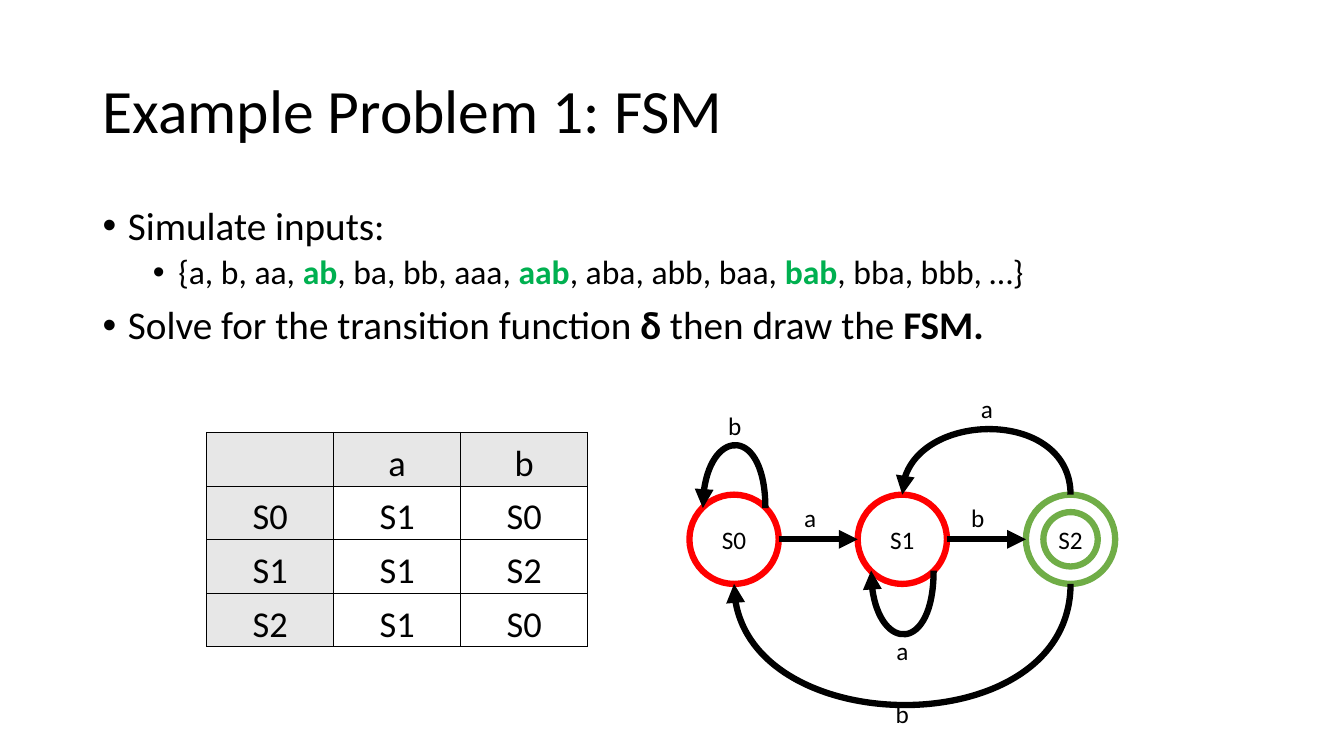
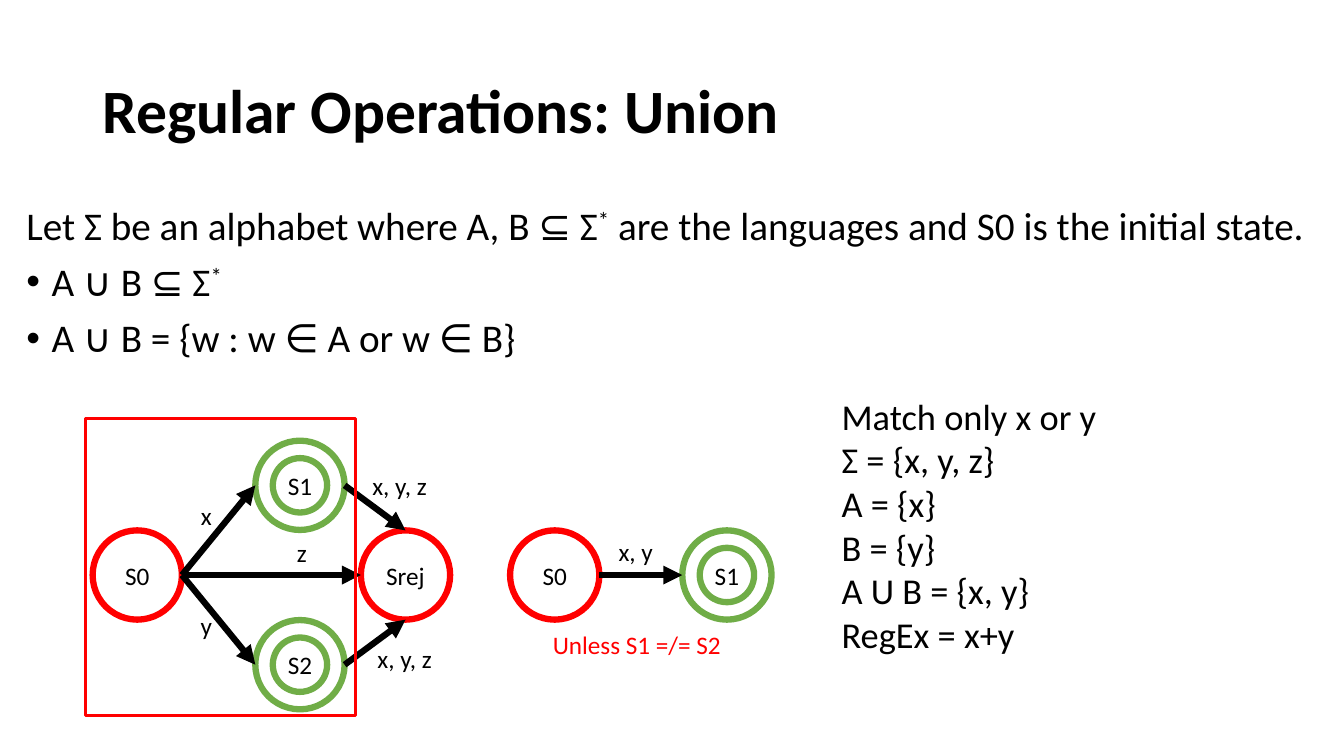
from pptx import Presentation
from pptx.dml.color import RGBColor
from pptx.enum.shapes import MSO_CONNECTOR, MSO_SHAPE
from pptx.enum.text import MSO_ANCHOR, MSO_AUTO_SIZE, PP_ALIGN
from pptx.oxml.ns import qn
from pptx.util import Cm, Pt
from lxml import etree

BLACK = RGBColor(0x00, 0x00, 0x00)
WHITE = RGBColor(0xFF, 0xFF, 0xFF)
RED = RGBColor(0xFF, 0x00, 0x00)
GREEN = RGBColor(0x70, 0xAD, 0x47)
ACCEPTED = RGBColor(0x00, 0xB0, 0x50)
HEADER = RGBColor(0xE7, 0xE7, 0xE7)

OVAL, RECT = MSO_SHAPE.OVAL, MSO_SHAPE.RECTANGLE
STRAIGHT = MSO_CONNECTOR.STRAIGHT
LEFT, CENTER = PP_ALIGN.LEFT, PP_ALIGN.CENTER
TOP, MIDDLE, BOTTOM = MSO_ANCHOR.TOP, MSO_ANCHOR.MIDDLE, MSO_ANCHOR.BOTTOM
NO_AUTOFIT = MSO_AUTO_SIZE.NONE

FONT = "Calibri"
STATE_SIZE, INNER_SIZE = 2.25, 1.37
STROKE = 4.5


def side(sp, dx, dy):
    """Return the point dx, dy radii away from the centre of a state."""
    radius = sp.width / 2
    return round(sp.left + radius * (1 + dx)), round(sp.top + radius * (1 + dy))


class Deck:
    """Hold the shared style and the slide being drawn."""

    def __init__(self):
        self.prs = Presentation()
        self.prs.slide_width, self.prs.slide_height = Cm(33.87), Cm(19.05)
        self.s = None

    def style(self, p, size, color=BLACK, bold=False):
        """Format every run of a paragraph."""
        for r in p.runs:
            r.font.name, r.font.size = FONT, Pt(size)
            r.font.bold, r.font.color.rgb = bold, color

    def place(self, sp, left, top, width, height):
        """Move a placeholder."""
        sp.left, sp.top = Cm(left), Cm(top)
        sp.width, sp.height = Cm(width), Cm(height)

    def slide(self, title, bold=False):
        """Start a slide with its title."""
        self.s = self.prs.slides.add_slide(self.prs.slide_layouts[1])
        sp = self.s.shapes.title
        self.place(sp, 2.33, 1.01, 29.21, 3.68)
        tf = sp.text_frame
        tf.text = title
        tf.auto_size, tf.vertical_anchor = NO_AUTOFIT, MIDDLE
        p = tf.paragraphs[0]
        p.alignment, p.line_spacing = LEFT, 0.9
        self.style(p, 44, bold=bold)

    def body(self, left, width, items):
        """Fill the body with (level, bulleted, runs) items."""
        sp = self.s.placeholders[1]
        self.place(sp, left, 5.07, width, 12)
        tf = sp.text_frame
        tf.auto_size = NO_AUTOFIT
        for i, (level, bulleted, runs) in enumerate(items):
            p = tf.add_paragraph() if i else tf.paragraphs[0]
            p.level = level
            pPr = p._p.get_or_add_pPr()
            pPr.set("marL", str(Cm(0.64 + 1.27 * level) if bulleted else 0))
            pPr.set("indent", str(-Cm(0.64) if bulleted else 0))
            if bulleted:
                etree.SubElement(pPr, qn("a:buChar")).set("char", "•")
            else:
                etree.SubElement(pPr, qn("a:buNone"))
            p.line_spacing = 0.9
            p.space_before = Pt((5 if level else 10) if i else 0)
            for text, kind in runs:
                r = p.add_run()
                r.text = text
            self.style(p, 24 if level else 28)
            for r, (text, kind) in zip(p.runs, runs):
                r.font.bold = kind in ("bold", "accepted")
                if kind == "accepted":
                    r.font.color.rgb = ACCEPTED
                elif kind == "super":
                    r._r.get_or_add_rPr().set("baseline", "30000")

    def outline(self, shape, left, top, width, height, color, weight=STROKE):
        """Add an unfilled, outlined shape."""
        sp = self.s.shapes.add_shape(shape, Cm(left), Cm(top), Cm(width), Cm(height))
        sp.shadow.inherit = False
        sp.fill.background()
        sp.line.color.rgb, sp.line.width = color, Pt(weight)
        return sp

    def circle(self, cx, cy, size, color):
        """Add a ring around a centre."""
        return self.outline(OVAL, cx - size / 2, cy - size / 2, size, size, color)

    def state(self, name, cx, cy, accepting=False):
        """Add a state, with a second ring if it accepts."""
        color = GREEN if accepting else RED
        sp = self.circle(cx, cy, STATE_SIZE, color)
        sp.fill.solid()
        sp.fill.fore_color.rgb = WHITE
        tf = sp.text_frame
        tf.text = name
        tf.word_wrap, tf.vertical_anchor = False, MIDDLE
        tf.paragraphs[0].alignment = CENTER
        self.style(tf.paragraphs[0], 18)
        if accepting:
            self.circle(cx, cy, INNER_SIZE, color)
        return sp

    def arrowhead(self, sp):
        """Give a line its stroke and arrowhead."""
        sp.line.color.rgb, sp.line.width = BLACK, Pt(STROKE)
        spPr = sp.element.spPr
        etree.SubElement(spPr.find(qn("a:ln")), qn("a:tailEnd")).set("type", "triangle")
        etree.SubElement(spPr, qn("a:effectLst"))

    def arrow(self, start, end):
        """Add a straight arrow between two points."""
        self.arrowhead(self.s.shapes.add_connector(STRAIGHT, *start, *end))

    def arc(self, start, end, rise):
        """Add a curved arrow that rises (or, if negative, dips) by a height."""
        control = start[1] - Cm(rise * 4 / 3)
        builder = self.s.shapes.build_freeform(*start, scale=1.0)
        builder.add_line_segments(
            [(start[0], control), (end[0], control), end], close=False)
        sp = builder.convert_to_shape()
        sp.fill.background()
        track = sp.element.spPr.find(".//" + qn("a:path"))
        bezier = etree.SubElement(track, qn("a:cubicBezTo"))
        for segment in track.findall(qn("a:lnTo")):
            bezier.append(segment[0])
            track.remove(segment)
        self.arrowhead(sp)

    def label(self, text, cx, cy, color=BLACK):
        """Add a short text centred on a point."""
        width, height = 5, 1
        sp = self.s.shapes.add_textbox(
            Cm(cx - width / 2), Cm(cy - height / 2), Cm(width), Cm(height))
        tf = sp.text_frame
        tf.text = text
        tf.word_wrap, tf.vertical_anchor = True, MIDDLE
        tf.paragraphs[0].alignment = CENTER
        self.style(tf.paragraphs[0], 18, color)

    def notes(self, left, top, width, height, text):
        """Add a block of lines."""
        sp = self.s.shapes.add_textbox(Cm(left), Cm(top), Cm(width), Cm(height))
        tf = sp.text_frame
        tf.text = text
        tf.word_wrap, tf.vertical_anchor = True, TOP
        for p in tf.paragraphs:
            self.style(p, 26)

    def table(self, left, top, col_width, row_height, rows):
        """Add a bordered table with a shaded first row and column."""
        n_rows, n_cols = len(rows), len(rows[0])
        table = self.s.shapes.add_table(
            n_rows, n_cols, Cm(left), Cm(top),
            Cm(col_width * n_cols), Cm(row_height * n_rows)).table
        table.first_row = table.horz_banding = False
        for column in table.columns:
            column.width = Cm(col_width)
        for i, row in enumerate(rows):
            table.rows[i].height = Cm(row_height)
            for j, text in enumerate(row):
                self.cell(table.cell(i, j), text, i == 0 or j == 0)

    def cell(self, cell, text, shaded):
        """Fill and border one table cell."""
        cell.text = text
        cell.vertical_anchor = BOTTOM
        cell.margin_left = cell.margin_right = cell.margin_top = Cm(0.03)
        cell.margin_bottom = 0
        p = cell.text_frame.paragraphs[0]
        p.alignment = CENTER
        self.style(p, 26)
        tcPr = cell._tc.get_or_add_tcPr()
        for edge in ("a:lnL", "a:lnR", "a:lnT", "a:lnB"):
            ln = etree.SubElement(tcPr, qn(edge), w=str(Pt(1)))
            fill = etree.SubElement(ln, qn("a:solidFill"))
            etree.SubElement(fill, qn("a:srgbClr"), val=str(BLACK))
        if shaded:
            cell.fill.solid()
            cell.fill.fore_color.rgb = HEADER
        else:
            cell.fill.background()


def fsm_slide(deck):
    """Draw the state machine example."""
    deck.slide("Example Problem 1: FSM")
    deck.body(2.33, 29.21, [
        (0, True, [("Simulate inputs:", "")]),
        (1, True, [("{a, b, aa, ", ""), ("ab", "accepted"),
                   (", ba, bb, aaa, ", ""), ("aab", "accepted"),
                   (", aba, abb, baa, ", ""), ("bab", "accepted"),
                   (", bba, bbb, …}", "")]),
        (0, True, [("Solve for the transition function ", ""), ("δ ", "bold"),
                   ("then draw the ", ""), ("FSM.", "bold")]),
    ])
    deck.table(5.21, 10.9, 3.2, 1.35, [
        ("", "a", "b"),
        ("S0", "S1", "S0"),
        ("S1", "S1", "S2"),
        ("S2", "S1", "S0"),
    ])
    x, y, step = 18.5, 13.59, 4.24
    s0 = deck.state("S0", x, y)
    s1 = deck.state("S1", x + step, y)
    s2 = deck.state("S2", x + 2 * step, y, accepting=True)
    for start, end in ((s0, s1), (s1, s2)):
        deck.arrow(side(start, 1, 0), side(end, -1, 0))
    deck.arc(side(s0, 0.7, -0.7), side(s0, -0.7, -0.7), 1.53)
    deck.arc(side(s1, 0.7, 0.7), side(s1, -0.7, 0.7), -1.55)
    deck.arc(side(s2, 0, -1), side(s1, 0, -1), 1.6)
    deck.arc(side(s2, 0, 1), side(s0, 0, 1), -3)
    for text, cx, cy in (("b", 18.52, 10.72), ("a", 20.42, 13.03),
                         ("b", 24.64, 13.03), ("a", 24.87, 10.29),
                         ("a", 22.74, 16.38), ("b", 22.74, 17.98)):
        deck.label(text, cx, cy)


def union_slide(deck):
    """Draw the union of two languages."""
    deck.slide("Regular Operations: Union", bold=True)
    deck.body(0.41, 33, [
        (0, False, [("Let Σ be an alphabet where A, B ⊆ Σ", ""), ("*", "super"),
                    (" are the languages and S0 is the initial state.", "")]),
        (0, True, [("A ∪ B ⊆ Σ", ""), ("*", "super")]),
        (0, True, [("A ∪ B = {w : w ∈ A or w ∈ B}", "")]),
    ])
    y, offset = 14.49, 2.26
    s0 = deck.state("S0", 3.46, y)
    s1 = deck.state("S1", 7.56, y - offset, accepting=True)
    s2 = deck.state("S2", 7.56, y + offset, accepting=True)
    srej = deck.state("Srej", 10.22, y)
    merged_s0 = deck.state("S0", 13.98, y)
    merged_s1 = deck.state("S1", 18.32, y, accepting=True)
    for start, end in ((s0, s1), (s0, s2), (s0, srej), (merged_s0, merged_s1)):
        deck.arrow(side(start, 1, 0), side(end, -1, 0))
    deck.arrow(side(s1, 1, 0), side(srej, 0, -1))
    deck.arrow(side(s2, 1, 0), side(srej, 0, 1))
    for text, cx, cy in (("x", 5.2, 12.98), ("y", 5.2, 15.75),
                         ("z", 7.61, 13.92), ("x, y, z", 10.07, 12.24),
                         ("x, y, z", 10.2, 16.59), ("x, y", 16.02, 13.9)):
        deck.label(text, cx, cy)
    deck.outline(RECT, 2.16, 10.54, 6.81, 7.5, RED, 2.25)
    deck.label("Unless S1 =/= S2", 16.05, 16.23, RED)
    deck.notes(20.96, 9.8, 12.9, 7.09,
               "Match only x or y\nΣ = {x, y, z}\nA = {x}\nB = {y}\n"
               "A U B = {x, y}\nRegEx = x+y")


def main():
    """Build and save the slides."""
    deck = Deck()
    fsm_slide(deck)
    union_slide(deck)
    deck.prs.save("out.pptx")


if __name__ == "__main__":
    main()
